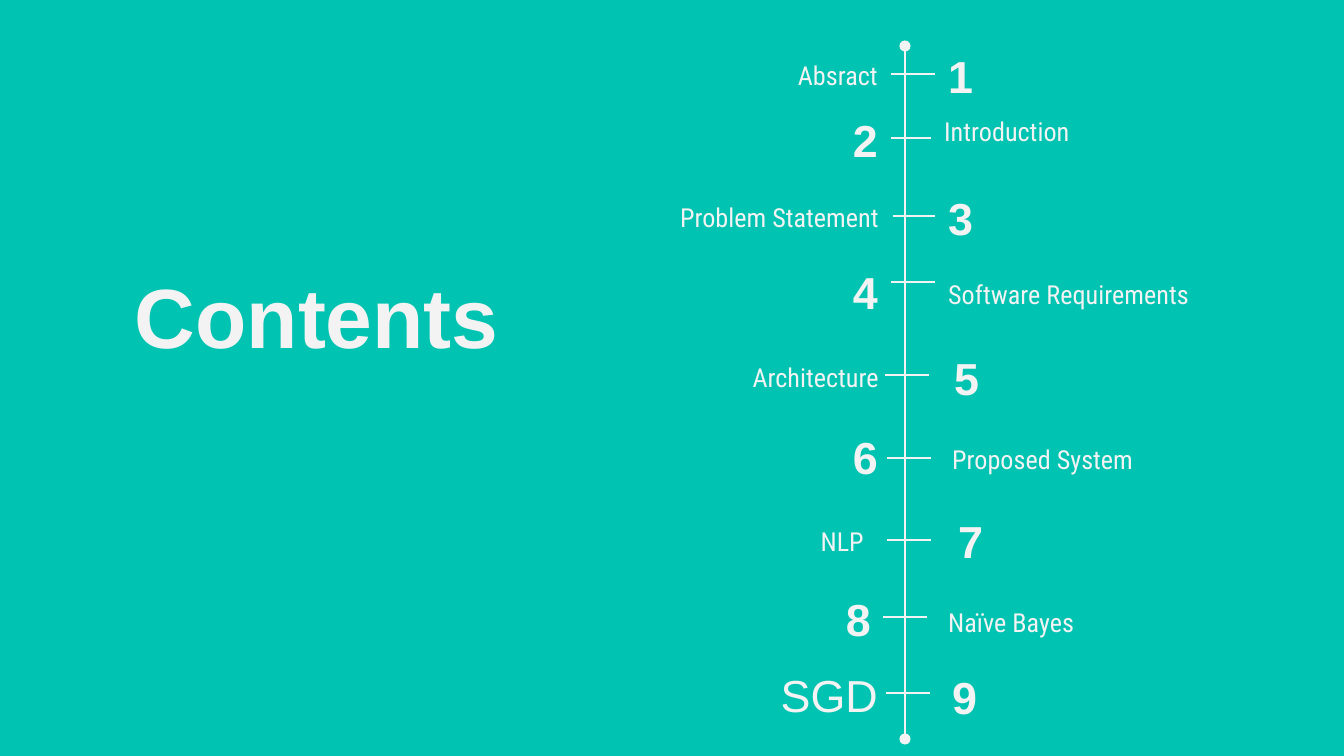
from dataclasses import dataclass
from typing import NamedTuple

from lxml.etree import SubElement
from pptx import Presentation
from pptx.dml.color import RGBColor as Color
from pptx.enum.shapes import MSO_CONNECTOR as Connector
from pptx.enum.text import MSO_ANCHOR as Anchor, PP_ALIGN as Align
from pptx.oxml.ns import qn
from pptx.util import Emu, Inches, Pt

PAGE_WIDTH, PAGE_HEIGHT = 1344, 756
SCALE = Inches(10) / PAGE_WIDTH


@dataclass(frozen=True)
class Theme:
    background: Color = Color.from_string("00C3B1")
    ink: Color = Color.from_string("F3F3F3")
    display: str = "Arial"
    body: str = "Roboto Condensed"
    title_size: int = 45
    number_size: int = 24
    label_size: int = 14
    line_width: float = 1.5


THEME = Theme()
NUMBER = dict(font=THEME.display, size=THEME.number_size, bold=True)
ACRONYM = dict(font=THEME.display, size=THEME.number_size)
LABEL = dict(font=THEME.body, size=THEME.label_size)


class Box(NamedTuple):
    left: int
    top: int
    width: int
    height: int


class Entry(NamedTuple):
    """One side of a row: edge is measured from the spine, drop from the tick."""
    text: str
    edge: int
    drop: int
    style: dict


class Row(NamedTuple):
    y: int
    tick_start: int
    tick_end: int
    left: Entry
    right: Entry


ROWS = [
    Row(34, -14, 30, Entry("Absract", -14, 1, LABEL), Entry("1", 30, 1, NUMBER)),
    Row(98, -14, 26, Entry("2", -14, 1, NUMBER), Entry("Introduction", 26, -7, LABEL)),
    Row(176, -12, 30, Entry("Problem Statement", -13, 1, LABEL), Entry("3", 30, 1, NUMBER)),
    Row(242, -14, 30, Entry("4", -14, 9, NUMBER), Entry("Software Requirements", 30, 12, LABEL)),
    Row(335, -20, 24, Entry("Architecture", -13, 2, LABEL), Entry("5", 36, 2, NUMBER)),
    Row(418, -18, 26, Entry("6", -14, -2, NUMBER), Entry("Proposed System", 34, 1, LABEL)),
    Row(500, -18, 26, Entry("NLP", -28, 1, LABEL), Entry("7", 40, 0, NUMBER)),
    Row(577, -22, 22, Entry("8", -21, 1, NUMBER), Entry("Naïve Bayes", 30, 5, LABEL)),
    Row(653, -19, 25, Entry("SGD", -14, 1, ACRONYM), Entry("9", 34, 3, NUMBER)),
]


def px(length):
    return Emu(round(length * SCALE))


def add_text(page, box, text, *, font, size, bold=False,
             align=Align.LEFT, anchor=Anchor.MIDDLE):
    frame = page.shapes.add_textbox(*map(px, box)).text_frame
    frame.word_wrap = True
    frame.vertical_anchor = anchor
    frame.margin_left = frame.margin_right = Inches(0.1)
    frame.margin_top = frame.margin_bottom = Inches(0.1)
    para = frame.paragraphs[0]
    para.alignment = align
    span = para.add_run()
    span.text = text
    span.font.name = font
    span.font.size = Pt(size)
    span.font.bold = bold
    span.font.color.rgb = THEME.ink


def add_line(page, start, end, dots=False):
    line = page.shapes.add_connector(Connector.STRAIGHT, *map(px, start + end))
    line.line.color.rgb = THEME.ink
    line.line.width = Pt(THEME.line_width)
    if dots:
        outline = line.line._get_or_add_ln()
        for tag in ("a:headEnd", "a:tailEnd"):
            SubElement(outline, qn(tag), type="oval")
    SubElement(line._element.spPr, qn("a:effectLst"))


def add_title(page, box):
    add_text(page, box, "Contents", font=THEME.display, size=THEME.title_size,
             bold=True, align=Align.RIGHT, anchor=Anchor.TOP)


def add_timeline(page, box):
    spine = box.left + 305
    entry_width, entry_height = 304, 93

    # Spine with a dot at each end
    add_line(page, (spine, box.top + 6), (spine, box.top + box.height - 7), dots=True)

    # Ticks with an entry on either side
    for row in ROWS:
        y = box.top + row.y
        add_line(page, (spine + row.tick_start, y), (spine + row.tick_end, y))
        for entry, align, shift in ((row.left, Align.RIGHT, -entry_width),
                                    (row.right, Align.LEFT, 0)):
            place = Box(spine + entry.edge + shift,
                        y + entry.drop - entry_height // 2,
                        entry_width, entry_height)
            add_text(page, place, entry.text, align=align, **entry.style)


def main():
    deck = Presentation()
    deck.slide_width, deck.slide_height = px(PAGE_WIDTH), px(PAGE_HEIGHT)
    page = deck.slides.add_slide(deck.slide_layouts[6])
    page.background.fill.solid()
    page.background.fill.fore_color.rgb = THEME.background
    add_title(page, Box(106, 251, 406, 254))
    add_timeline(page, Box(600, 40, 640, 706))
    deck.save("out.pptx")


if __name__ == "__main__":
    main()
